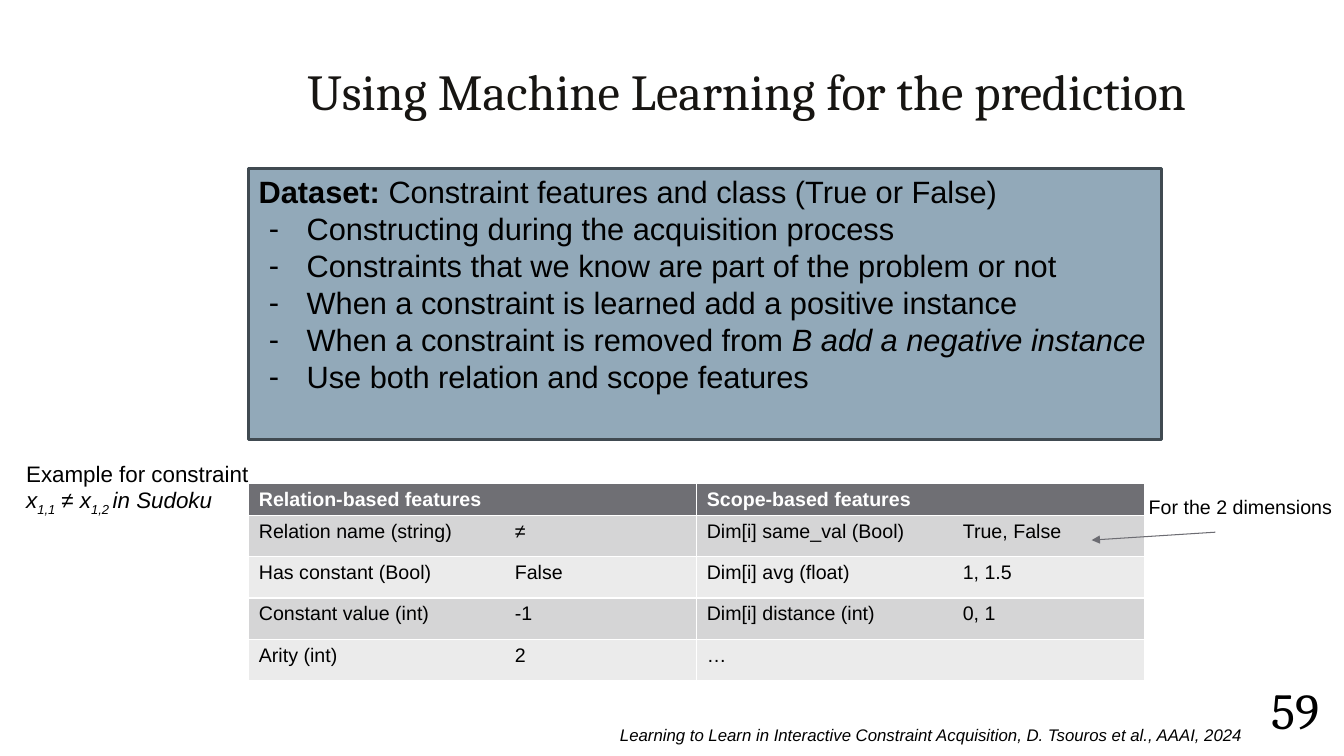
import pptx
import pptx.dml.color
import pptx.enum.shapes
import pptx.enum.text
import pptx.oxml.ns
import pptx.util
from lxml import etree

Cm = pptx.util.Cm
Pt = pptx.util.Pt
ALIGN = pptx.enum.text.PP_ALIGN
ANCHOR = pptx.enum.text.MSO_ANCHOR


def color(value):
    return pptx.dml.color.RGBColor.from_string(value)


def add_xml(parent, tag, **attrs):
    el = etree.SubElement(parent, pptx.oxml.ns.qn(tag))
    for name, value in attrs.items():
        el.set(name, str(value))
    return el


class Deck:
    body = "Arial"
    heading = "Cambria"
    ink = "000000"

    def __init__(self, width, height):
        self.prs = pptx.Presentation()
        self.prs.slide_width = Cm(width)
        self.prs.slide_height = Cm(height)

    def add_slide(self):
        self.slide = self.prs.slides.add_slide(self.prs.slide_layouts[5])

    def format_run(self, r, size, font=None, ink=None, style=""):
        r.font.name = font or self.body
        r.font.size = Pt(size)
        r.font.color.rgb = color(ink or self.ink)
        r.font.bold = "b" in style
        r.font.italic = "i" in style
        if "s" in style:
            r._r.get_or_add_rPr().set("baseline", "-25000")

    def add_runs(self, p, runs, size, align=ALIGN.LEFT, **look):
        p.alignment = align
        for text, style in runs:
            r = p.add_run()
            r.text = text
            self.format_run(r, size, style=style, **look)

    def bullet(self, p, char, margin, indent):
        pPr = p._p.get_or_add_pPr()
        pPr.set("marL", str(Cm(margin)))
        pPr.set("indent", str(Cm(indent)))
        add_xml(pPr, "a:buFont", typeface=self.body)
        add_xml(pPr, "a:buChar", char=char)

    def title(self, text, box):
        sp = self.slide.shapes.title
        sp.left, sp.top, sp.width, sp.height = map(Cm, box)
        tf = sp.text_frame
        tf.text = text
        tf.auto_size = pptx.enum.text.MSO_AUTO_SIZE.NONE
        tf.vertical_anchor = ANCHOR.BOTTOM
        p = tf.paragraphs[0]
        p.alignment = ALIGN.CENTER
        p.line_spacing = 0.9
        self.format_run(p.runs[0], 36, self.heading, "171512")

    def text(self, paragraphs, box, size, wrap=True, anchor=ANCHOR.TOP, **look):
        sp = self.slide.shapes.add_textbox(*map(Cm, box))
        tf = sp.text_frame
        tf.word_wrap = wrap
        tf.vertical_anchor = anchor
        for i, runs in enumerate(paragraphs):
            p = tf.add_paragraph() if i else tf.paragraphs[0]
            self.add_runs(p, runs, size, **look)
        return tf

    def panel(self, lead, items, box, size):
        sp = self.slide.shapes.add_shape(
            pptx.enum.shapes.MSO_SHAPE.RECTANGLE, *map(Cm, box))
        sp.shadow.inherit = False
        sp.fill.solid()
        sp.fill.fore_color.rgb = color("92A9B9")
        sp.line.color.rgb = color("404A51")
        sp.line.width = Pt(2)
        tf = sp.text_frame
        tf.word_wrap = True
        tf.vertical_anchor = ANCHOR.TOP
        self.add_runs(tf.paragraphs[0], lead, size, ALIGN.JUSTIFY)
        for runs in items:
            p = tf.add_paragraph()
            self.bullet(p, "-", 1.21, -0.95)
            self.add_runs(p, runs, size, ALIGN.JUSTIFY)

    def table(self, rows, box, header_height, tab, size):
        left, top, width, row_height = box
        frame = self.slide.shapes.add_table(
            len(rows), len(rows[0]), Cm(left), Cm(top), Cm(width),
            Cm(header_height + row_height * (len(rows) - 1)))
        table = frame.table
        for i, row in enumerate(rows):
            table.rows[i].height = Cm(row_height if i else header_height)
            fill = ("D5D5D6" if i % 2 else "EBEBEB") if i else "6F6F74"
            for j, text in enumerate(row):
                cell = table.cell(i, j)
                cell.fill.solid()
                cell.fill.fore_color.rgb = color(fill)
                p = cell.text_frame.paragraphs[0]
                if "\t" in text:
                    tabs = add_xml(p._p.get_or_add_pPr(), "a:tabLst")
                    add_xml(tabs, "a:tab", pos=Cm(tab), algn="l")
                p.text = text
                for r in p.runs:
                    self.format_run(r, size, ink=None if i else "FFFFFF",
                                    style="" if i else "b")

    def arrow(self, start, end):
        cx = self.slide.shapes.add_connector(
            pptx.enum.shapes.MSO_CONNECTOR.STRAIGHT, *map(Cm, start + end))
        cx.line.color.rgb = color("6C6C72")
        cx.line.width = Pt(0.75)
        add_xml(cx.line._get_or_add_ln(), "a:tailEnd", type="triangle")
        add_xml(cx._element.spPr, "a:effectLst")


def main():
    deck = Deck(33.87, 19.05)
    deck.add_slide()
    deck.title("Using Machine Learning for the prediction", (6.27, 0.03, 25.1, 3.15))
    deck.panel(
        [("Dataset: ", "b"), ("Constraint features and class (True or False)", "")],
        [
            [("Constructing during the acquisition process", "")],
            [("Constraints that we know are part of the problem or not", "")],
            [("When a constraint is learned add a positive instance", "")],
            [("When a constraint is removed from ", ""),
             ("B add a negative instance", "i")],
            [("Use both relation and scope features", "")],
        ],
        (6.27, 4.24, 23, 6.83), 22)
    deck.table(
        [
            ("Relation-based features", "Scope-based features"),
            ("Relation name (string)\t≠", "Dim[i] same_val (Bool)\tTrue, False"),
            ("Has constant (Bool)\tFalse", "Dim[i] avg (float)\t1, 1.5"),
            ("Constant value (int)\t-1", "Dim[i] distance (int)\t0, 1"),
            ("Arity (int)\t2", "…"),
        ],
        (6.27, 12.18, 22.58, 1.04), 0.81, 6.45, 14)
    deck.text(
        [
            [("Example for constraint", "")],
            [("x", "i"), ("1,1", "is"), (" ≠ x", "i"), ("1,2 ", "is"),
             ("in Sudoku", "i")],
        ],
        (0.41, 11.46, 6.2, 1.63), 16, wrap=False)
    deck.text([[("For the 2 dimensions", "")]], (28.7, 12.34, 5.16, 1.45), 14,
              wrap=False)
    deck.arrow((30.63, 13.41), (27.51, 13.61))
    deck.text(
        [[("Learning to Learn in Interactive Constraint Acquisition, "
           "D. Tsouros et al., AAAI, 2024", "i")]],
        (7.59, 18.14, 23.98, 0.76), 12, align=ALIGN.RIGHT)
    number = deck.text([[("59", "")]], (31.37, 17.15, 2.54, 1.65), 36,
                       anchor=ANCHOR.MIDDLE, align=ALIGN.CENTER, font=deck.heading)
    number.margin_left = number.margin_right = Cm(0.13)
    number.paragraphs[0].line_spacing = 0.9
    deck.prs.save("out.pptx")


if __name__ == "__main__":
    main()
